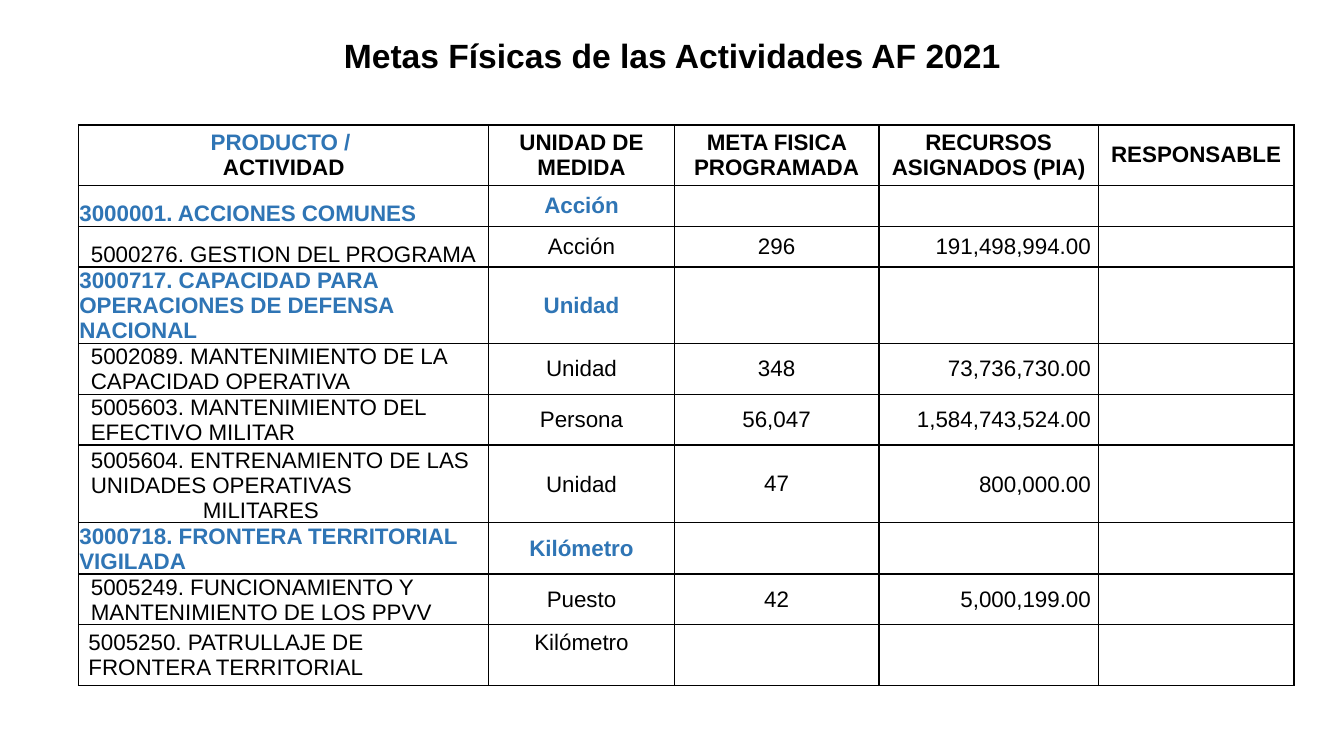
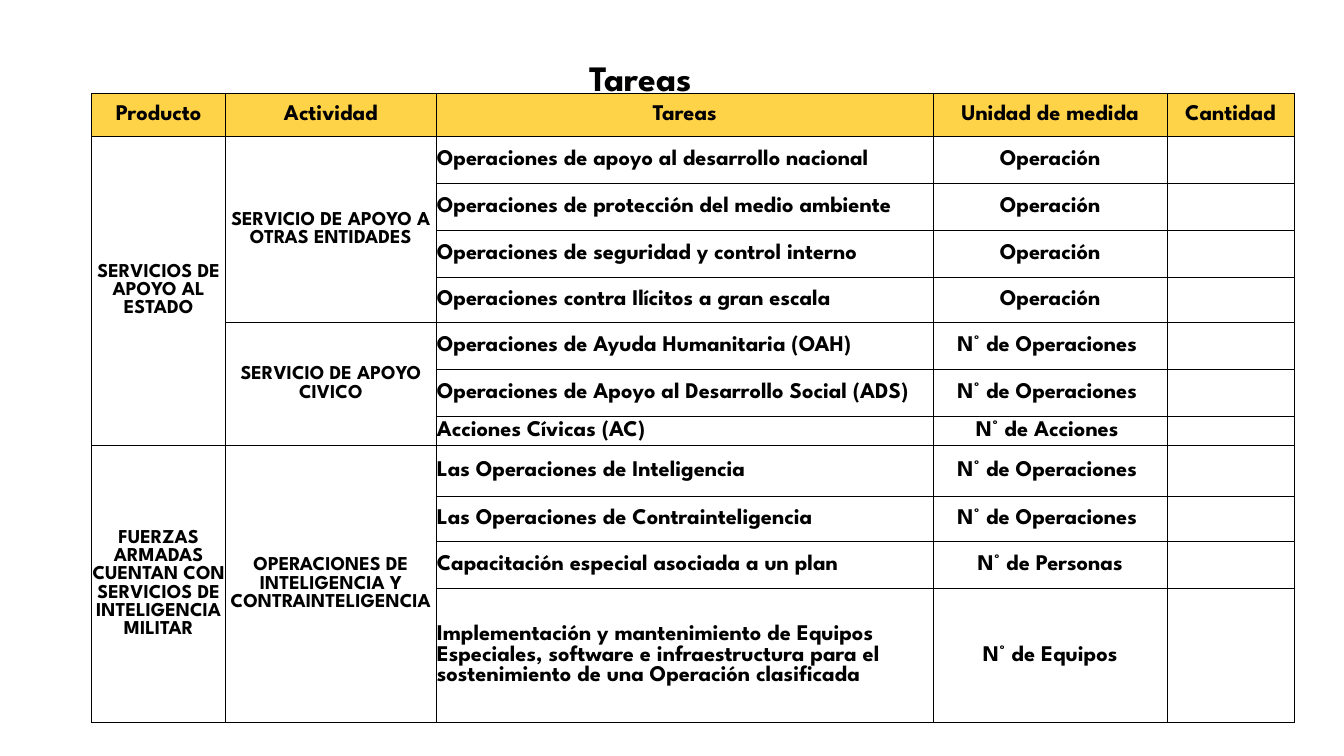
from lxml import etree
from pptx import Presentation
from pptx import util as u
from pptx.dml.color import RGBColor
from pptx.enum import text as t
from pptx.oxml import ns

THEME = {
    "black": RGBColor.from_string("000000"),
    "white": RGBColor.from_string("FFFFFF"),
    "blue": RGBColor.from_string("2F75B5"),
    "gold": RGBColor.from_string("FFD347"),
    "goals_font": "Arial",
    "tasks_font": "League Spartan",
    "goals_title": 24,
    "tasks_title": 44,
    "body": 16,
    "group": 14,
    "goals_leading": u.Pt(17.87),
}
LEFT, CENTER, RIGHT = t.PP_ALIGN.LEFT, t.PP_ALIGN.CENTER, t.PP_ALIGN.RIGHT
TOP, MIDDLE, BOTTOM = t.MSO_ANCHOR.TOP, t.MSO_ANCHOR.MIDDLE, t.MSO_ANCHOR.BOTTOM
ROOMY = (0.25, 0.13, 0.25, 0.13)
TIGHT = (0.02, 0.02, 0.02, 0)
INDENTED = (0.31, 0.02, 0.02, 0)
AMOUNT = (0.02, 0.02, 0.19, 0)


def write_text(frame, lines, font, size=THEME["body"], bold=True,
               colors=(THEME["black"],), align=CENTER, leading=None):
    """Write one paragraph per line; the last colour serves all further lines."""
    for index, line in enumerate(lines):
        paragraph = frame.paragraphs[0] if index == 0 else frame.add_paragraph()
        paragraph.alignment = align
        paragraph.line_spacing = leading
        if not line:  # an empty cell still needs a type size for its row height
            ending = etree.SubElement(paragraph._p, ns.qn("a:endParaRPr"), sz=str(size * 100))
            etree.SubElement(ending, ns.qn("a:latin"), typeface=font)
            continue
        run = paragraph.add_run()
        run.text = line
        style = {"name": font, "size": u.Pt(size), "bold": bold}
        for name, value in style.items():
            setattr(run.font, name, value)
        run.font.color.rgb = colors[min(index, len(colors) - 1)]


def add_grid(slide, left, top, widths, heights, line_width):
    """Add a plain white table with thin black borders."""
    frame = slide.shapes.add_table(len(heights), len(widths), u.Cm(left), u.Cm(top),
                                   u.Cm(sum(widths)), u.Cm(sum(heights)))
    table = frame.table
    table.first_row = table.horz_banding = False
    for column, width in zip(table.columns, widths):
        column.width = u.Cm(width)
    for row, height in zip(table.rows, heights):
        row.height = u.Cm(height)
    for cell in table.iter_cells():
        cell.fill.solid()
        cell.fill.fore_color.rgb = THEME["white"]
        properties = cell._tc.get_or_add_tcPr()
        for position, side in enumerate(("lnL", "lnR", "lnT", "lnB")):
            border = etree.Element(ns.qn(f"a:{side}"), w=str(u.Pt(line_width)))
            fill = etree.SubElement(border, ns.qn("a:solidFill"))
            etree.SubElement(fill, ns.qn("a:srgbClr"), val=str(THEME["black"]))
            properties.insert(position, border)
    return table


presentation = Presentation()
presentation.slide_width = u.Cm(33.87)
presentation.slide_height = u.Cm(19.05)
blank = presentation.slide_layouts[6]
SIDES = ("margin_left", "margin_top", "margin_right", "margin_bottom")

# Slide 1: physical goals
slide = presentation.slides.add_slide(blank)
font, leading = THEME["goals_font"], THEME["goals_leading"]
title = slide.shapes.add_textbox(u.Cm(1.7), u.Cm(0.74), u.Cm(30.48), u.Cm(1.3))
title.text_frame.word_wrap = True
title.text_frame.vertical_anchor = MIDDLE
write_text(title.text_frame, ["Metas Físicas de las Actividades AF 2021"],
           font, THEME["goals_title"])

headers = [["PRODUCTO / ", "ACTIVIDAD"], ["UNIDAD DE MEDIDA"], ["META FISICA PROGRAMADA"],
           ["RECURSOS ASIGNADOS (PIA)"], ["RESPONSABLE"]]
goals = [
    (["3000001. ACCIONES COMUNES"], "Acción", "", ""),
    (["5000276. GESTION DEL PROGRAMA"], "Acción", "296", "191,498,994.00"),
    (["3000717. CAPACIDAD PARA OPERACIONES DE DEFENSA NACIONAL"], "Unidad", "", ""),
    (["5002089. MANTENIMIENTO DE LA CAPACIDAD OPERATIVA"], "Unidad", "348", "73,736,730.00"),
    (["5005603. MANTENIMIENTO DEL EFECTIVO MILITAR"], "Persona", "56,047", "1,584,743,524.00"),
    (["5005604. ENTRENAMIENTO DE LAS UNIDADES OPERATIVAS", "MILITARES"],
     "Unidad", "47", "800,000.00"),
    (["3000718. FRONTERA TERRITORIAL VIGILADA"], "Kilómetro", "", ""),
    (["5005249. FUNCIONAMIENTO Y MANTENIMIENTO DE LOS PPVV"], "Puesto", "42", "5,000,199.00"),
    (["5005250. PATRULLAJE DE FRONTERA TERRITORIAL"], "Kilómetro", "", ""),
]
table = add_grid(slide, 1.98, 3.15, [10.34, 4.67, 5.16, 5.53, 4.93],
                 [1.52, 1.03, 1.03, 1.92, 1.28, 1.28, 1.96, 1.29, 1.28, 1.52], 1)
for column, lines in enumerate(headers):
    cell = table.cell(0, column)
    cell.vertical_anchor = MIDDLE
    colors = (THEME["blue"], THEME["black"]) if column == 0 else (THEME["black"],)
    write_text(cell.text_frame, lines, font, colors=colors, leading=leading)

for row, (activity, unit, goal, amount) in enumerate(goals, start=1):
    is_product = activity[0].startswith("3000")
    is_last = row == len(goals)
    color = THEME["blue"] if is_product else THEME["black"]
    columns = [
        (activity, LEFT, BOTTOM, TIGHT if is_product else INDENTED),
        ([unit], CENTER, MIDDLE, TIGHT),
        ([goal], CENTER, MIDDLE, ROOMY),
        ([amount], RIGHT, MIDDLE, AMOUNT),
        ([""], CENTER, MIDDLE, TIGHT),
    ]
    for column, (lines, align, anchor, margins) in enumerate(columns):
        cell = table.cell(row, column)
        cell.vertical_anchor = TOP if is_last else anchor
        for side, margin in zip(SIDES, ROOMY if is_last else margins):
            setattr(cell, side, u.Cm(margin))
        write_text(cell.text_frame, lines, font, bold=is_product,
                   colors=(color,), align=align, leading=leading)
        for paragraph in cell.text_frame.paragraphs[1:]:
            paragraph._p.get_or_add_pPr().set("marL", str(u.Cm(2.82)))

# Slide 2: tasks
slide = presentation.slides.add_slide(blank)
font = THEME["tasks_font"]
title = slide.shapes.add_textbox(u.Cm(14.25), u.Cm(0.97), u.Cm(3.78), u.Cm(1.6))
title.text_frame.word_wrap = False
write_text(title.text_frame, ["Tareas"], font, THEME["tasks_title"], leading=1.07)
title_run = title.text_frame.paragraphs[0].runs[0]
title_run._r.get_or_add_rPr().set("baseline", "30000")

headers = ["Producto", "Actividad", "Tareas", "Unidad de medida", "Cantidad"]
tasks = [
    ("Operaciones de apoyo al desarrollo nacional", "Operación"),
    ("Operaciones de protección del medio ambiente", "Operación"),
    ("Operaciones de seguridad y control interno", "Operación"),
    ("Operaciones contra Ilícitos a gran escala", "Operación"),
    ("Operaciones de Ayuda Humanitaria (OAH)", "N° de Operaciones "),
    ("Operaciones de Apoyo al Desarrollo Social (ADS)", "N° de Operaciones "),
    ("Acciones Cívicas (AC)", "N° de Acciones "),
    ("Las Operaciones de Inteligencia", "N° de Operaciones "),
    ("Las Operaciones de Contrainteligencia", "N° de Operaciones "),
    ("Capacitación especial asociada a un plan", "N° de Personas"),
    ("Implementación y mantenimiento de Equipos Especiales, software e infraestructura "
     "para el sostenimiento de una Operación clasificada", "N° de Equipos"),
]
# First row, last row, column and wording of each merged cell
groups = [
    (1, 7, 0, "SERVICIOS DE APOYO AL ESTADO"),
    (1, 4, 1, "SERVICIO DE APOYO A OTRAS ENTIDADES"),
    (5, 7, 1, "SERVICIO DE APOYO CIVICO"),
    (8, 11, 0, "FUERZAS ARMADAS CUENTAN CON SERVICIOS DE INTELIGENCIA MILITAR"),
    (8, 11, 1, "OPERACIONES DE INTELIGENCIA Y CONTRAINTELIGENCIA"),
]
table = add_grid(slide, 2.31, 2.35, [3.38, 5.3, 12.53, 5.89, 3.2],
                 [1.08, 1.19, 1.19, 1.19, 1.13, 1.18, 1.18, 0.73, 1.29, 1.13, 1.19, 3.38], 0.5)
for cell in table.iter_cells():
    cell.vertical_anchor = MIDDLE
    for side, margin in zip(SIDES, TIGHT):
        setattr(cell, side, u.Cm(margin))
for column, header in enumerate(headers):
    cell = table.cell(0, column)
    cell.fill.fore_color.rgb = THEME["gold"]
    write_text(cell.text_frame, [header], font)
for row, (task, unit) in enumerate(tasks, start=1):
    for column, (line, align) in enumerate([(task, LEFT), (unit, CENTER), ("", CENTER)], start=2):
        write_text(table.cell(row, column).text_frame, [line], font, align=align)
for first, last, column, wording in groups:
    cell = table.cell(first, column)
    cell.merge(table.cell(last, column))
    write_text(cell.text_frame, [wording], font, THEME["group"])

presentation.save("out.pptx")
